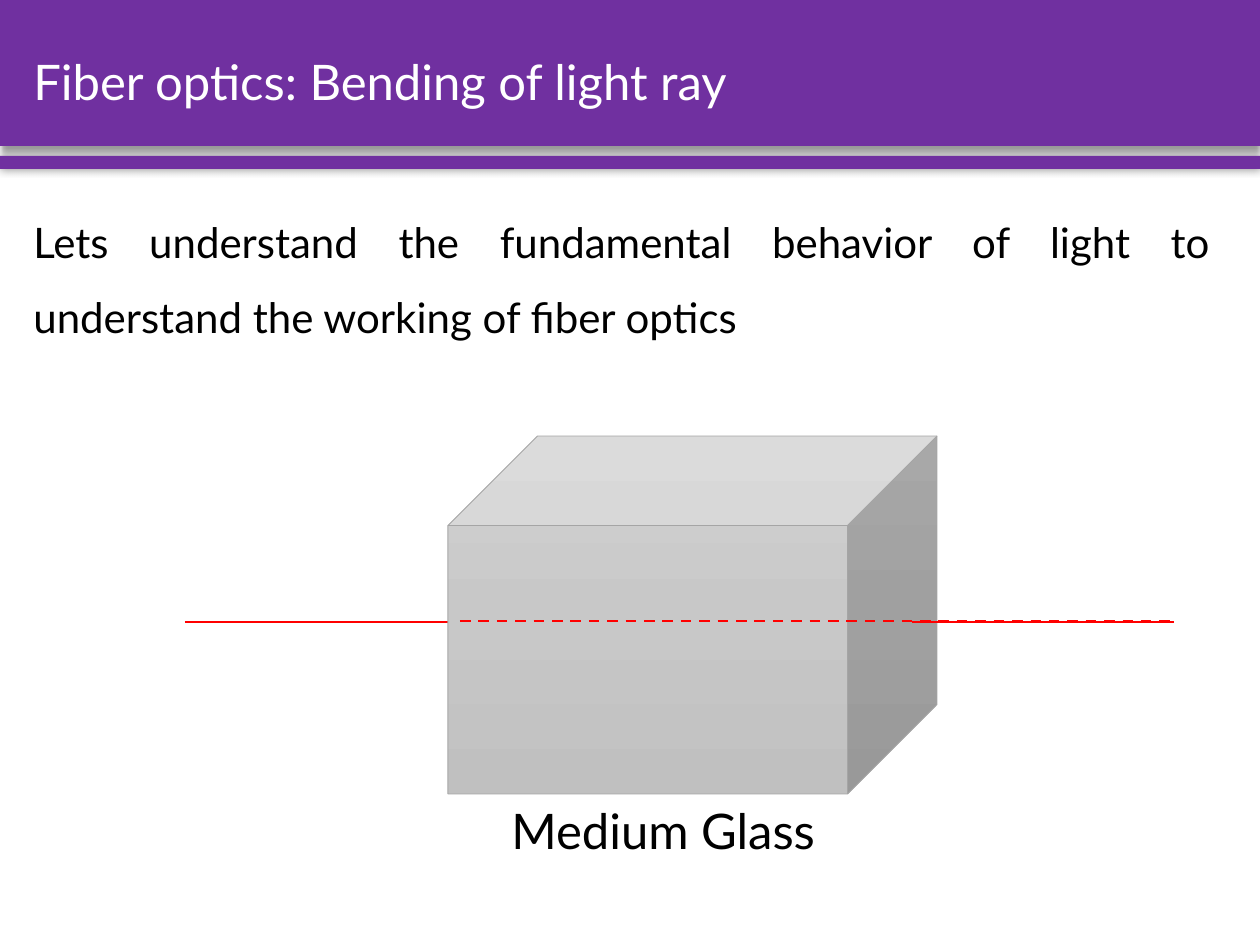
"""Builds a slide on the path of a light ray through glass."""
from copy import deepcopy
from dataclasses import dataclass

from lxml.etree import SubElement
from pptx import Presentation
from pptx.dml.color import RGBColor
from pptx.enum.dml import MSO_LINE
from pptx.enum.shapes import MSO_CONNECTOR, MSO_SHAPE
from pptx.enum.text import MSO_AUTO_SIZE, PP_ALIGN
from pptx.oxml.ns import qn
from pptx.util import Emu, Pt

WIDTH, HEIGHT = 1260, 945
PURPLE, WHITE, BLACK, RED = "7030A0", "FFFFFF", "000000", "FF0000"
GLASS, EDGE = ("D2D2D2", "C8C8C8", "C0C0C0"), "A5A5A5"


@dataclass
class Bar:
    top: int
    high: int
    blur: int
    dist: int
    angle: int


@dataclass
class Ray:
    start: int
    end: int
    y: int
    dash: MSO_LINE | None = None


@dataclass
class Label:
    text: str
    box: tuple[int, int, int, int]
    size: int
    color: str = BLACK
    wrap: bool = True
    form: dict | None = None


BARS = [Bar(0, 146, 4, 3, 90), Bar(156, 13, 5, 0, 0)]
BACK = [Ray(185, 1174, 622)]
FRONT = [Ray(460, 1174, 621, MSO_LINE.DASH), Ray(912, 1147, 622)]
LABELS = [
    Label("Fiber optics: Bending of light ray", (21, 45, 733, 72), 28, WHITE, False),
    Label("Lets understand the fundamental behavior of light to "
          "understand the working of fiber optics", (21, 185, 1201, 155), 24,
          form={"alignment": PP_ALIGN.JUSTIFY, "line_spacing": 1.5}),
    Label("Medium Glass", (499, 794, 360, 72), 28),
]


def px(value: int) -> Emu:
    return Emu(round(value * 914400 / 126))


def rgb(code: str) -> RGBColor:
    return RGBColor.from_string(code)


def apply(target, values: dict) -> None:
    for name, value in values.items():
        setattr(target, name, value)


def draw_bar(slide, bar: Bar) -> None:
    shape = slide.shapes.add_shape(
        MSO_SHAPE.RECTANGLE, *map(px, (0, bar.top, WIDTH, bar.high)))
    shape.fill.solid()
    shape.fill.fore_color.rgb = rgb(PURPLE)
    shape.line.fill.background()
    shape.shadow.inherit = False
    effects = shape._element.spPr.find(qn("a:effectLst"))
    shadow = SubElement(effects, qn("a:outerShdw"), {
        "blurRad": str(Pt(bar.blur)), "dist": str(Pt(bar.dist)),
        "dir": str(bar.angle * 60000), "algn": "t", "rotWithShape": "0"})
    color = SubElement(shadow, qn("a:srgbClr"), val=BLACK)
    SubElement(color, qn("a:alpha"), val="40000")


def draw_ray(slide, ray: Ray) -> None:
    line = slide.shapes.add_connector(
        MSO_CONNECTOR.STRAIGHT, *map(px, (ray.start, ray.y, ray.end, ray.y)))
    line.line.color.rgb = rgb(RED)
    apply(line.line, {"width": Pt(1.5), "dash_style": ray.dash})
    SubElement(line._element.spPr, qn("a:effectLst"))


def draw_glass(slide) -> None:
    cube = slide.shapes.add_shape(MSO_SHAPE.CUBE, *map(px, (448, 436, 489, 358)))
    cube.shadow.inherit = False
    cube.fill.gradient()
    cube.fill.gradient_angle = 270
    stops = cube._element.spPr.find(qn("a:gradFill")).find(qn("a:gsLst"))
    stops.insert(1, deepcopy(stops[0]))
    for stop, place, code in zip(cube.fill.gradient_stops, (0, 0.5, 1), GLASS):
        stop.position = place
        stop.color.rgb = rgb(code)
    cube.line.color.rgb = rgb(EDGE)
    cube.line.width = Pt(0.5)


def draw_label(slide, label: Label) -> None:
    frame = slide.shapes.add_textbox(*map(px, label.box)).text_frame
    apply(frame, {"text": label.text, "word_wrap": label.wrap,
                  "auto_size": MSO_AUTO_SIZE.SHAPE_TO_FIT_TEXT})
    para = frame.paragraphs[0]
    apply(para, label.form or {})
    font = para.runs[0].font
    apply(font, {"name": "Lato", "size": Pt(label.size)})
    font.color.rgb = rgb(label.color)


def main() -> None:
    deck = Presentation()
    apply(deck, {"slide_width": px(WIDTH), "slide_height": px(HEIGHT)})
    slide = deck.slides.add_slide(deck.slide_layouts[6])
    for bar in BARS:
        draw_bar(slide, bar)
    for ray in BACK:
        draw_ray(slide, ray)
    draw_glass(slide)
    for label in LABELS:
        draw_label(slide, label)
    for ray in FRONT:
        draw_ray(slide, ray)
    deck.save("out.pptx")


if __name__ == "__main__":
    main()
